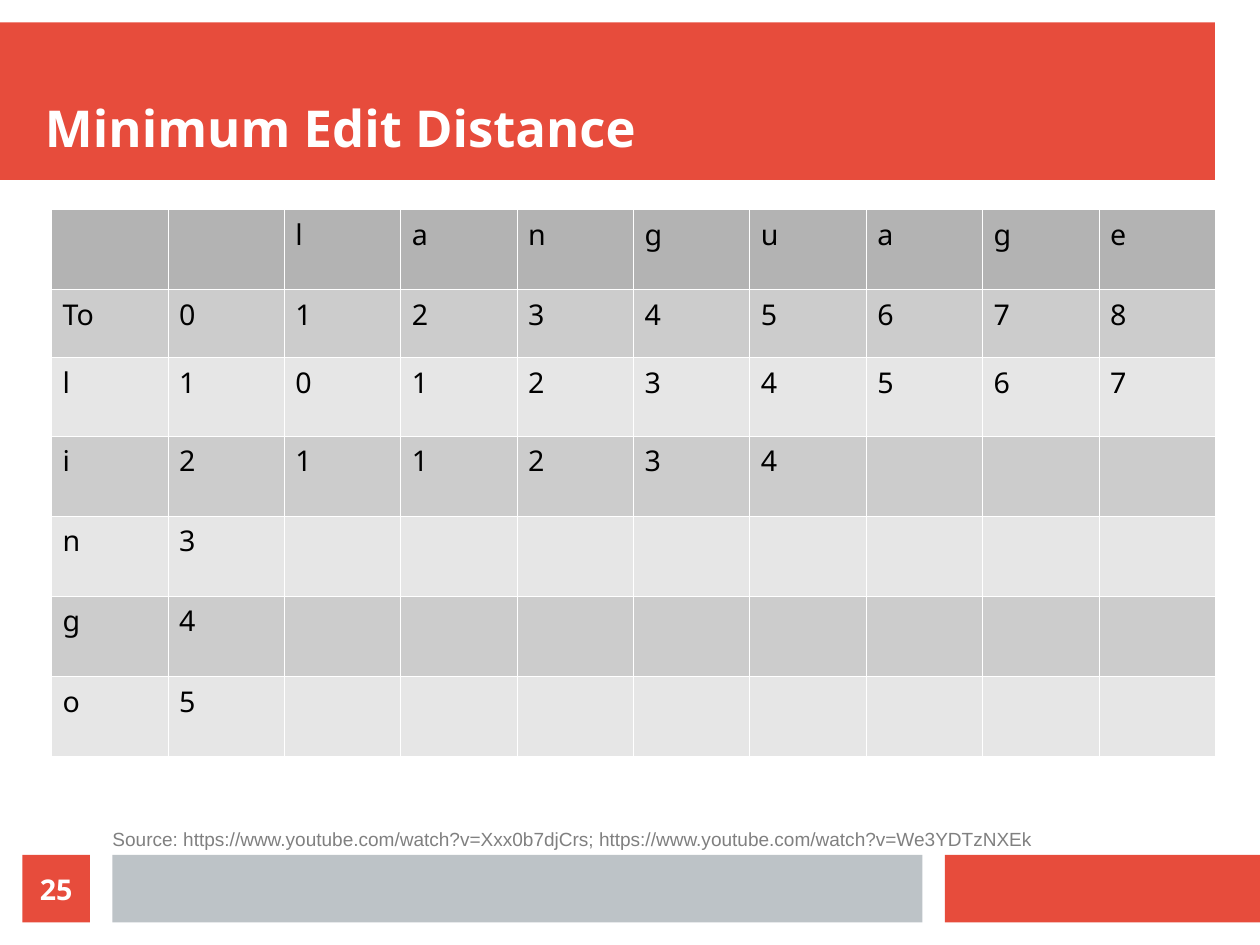
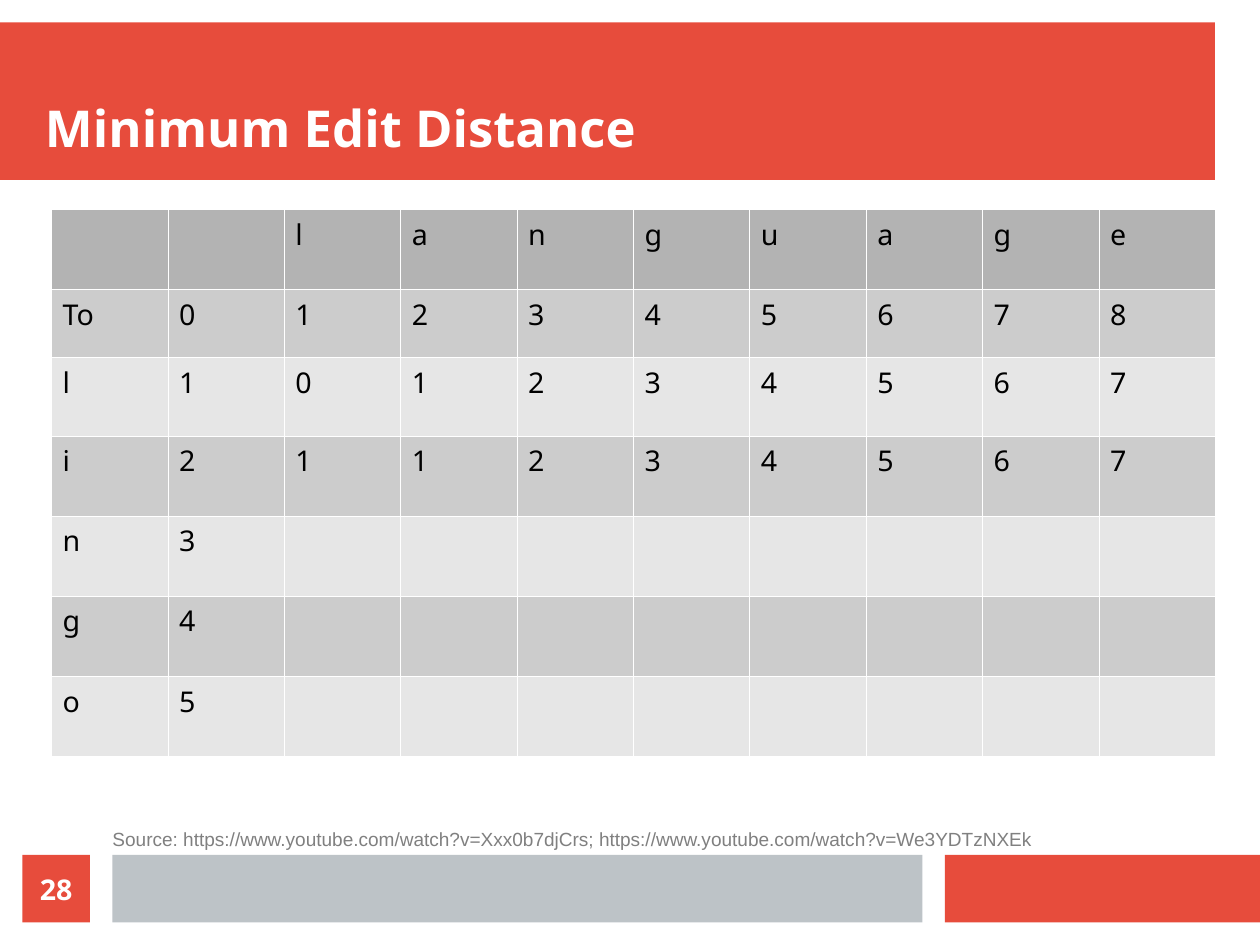
from dataclasses import dataclass

from lxml import etree
from pptx import Presentation
from pptx import util as u
from pptx.dml.color import RGBColor
from pptx.enum import shapes, text
from pptx.oxml.ns import qn

COLS, ROWS = 28, 21  # the slide grid; one unit is one centimetre


@dataclass(frozen=True)
class Theme:
    red: str = "E74C3C"
    band: str = "BDC3C7"
    white: str = "FFFFFF"
    black: str = "000000"
    gray: str = "808080"
    head: str = "B3B3B3"
    rows: tuple = ("CCCCCC", "E6E6E6")
    face: str = "Noto Sans"
    plain: str = "Arial"
    title: int = 32
    body: int = 18
    note: int = 12
    rule: float = 0.06


LOOK = Theme()
BANNER = (0, 0.5, 27, 3.5)
FOOTER = (0, 19, COLS, 1.5)
GRID = (1.14, 4.65, 25.86, 12.14)
HEIGHTS = (1.78, 1.5, 1.75, 1.78, 1.78, 1.78, 1.78)
HEADING = "Minimum Edit Distance"
SOURCE = ("Source: https://www.youtube.com/watch?v=Xxx0b7djCrs; "
          "https://www.youtube.com/watch?v=We3YDTzNXEk")
TARGET = ["", "", *"language"]
STARTS = "To 0 1 2 3 4 5 6 7 8", "l 1 0 1 2 3 4 5 6 7"
ENDS = "n 3", "g 4", "o 5"
PAGES = (("25", "i 2 1 1 2 3 4"), ("28", "i 2 1 1 2 3 4 5 6 7"))


def emu(box):
    return [u.Cm(n) for n in box]


def style(frame, size, color, face=LOOK.face, bold=False,
          align=text.PP_ALIGN.LEFT):
    for para in frame.paragraphs:
        para.alignment = align
        for run in para.runs:
            font = run.font
            font.size, font.name, font.bold = u.Pt(size), face, bold
            font.color.rgb = RGBColor.from_string(color)


def bare(frame, anchor):
    """Remove the insets and wrap the text within its box."""
    frame.margin_left = frame.margin_right = 0
    frame.margin_top = frame.margin_bottom = 0
    frame.word_wrap = True
    frame.auto_size = text.MSO_AUTO_SIZE.NONE
    frame.vertical_anchor = anchor


def block(slide, box, color):
    rect = slide.shapes.add_shape(shapes.MSO_SHAPE.RECTANGLE, *emu(box))
    rect.shadow.inherit = False
    rect.fill.solid()
    rect.fill.fore_color.rgb = RGBColor.from_string(color)
    rect.line.fill.background()
    return rect


def banner(slide, box):
    left, top, wide, high = box
    block(slide, box, LOOK.red)
    title = slide.shapes.title
    title.left, title.top, title.width, title.height = emu(
        (left + 1, top + 0.5, wide - 1, high - 1))
    slide.shapes._spTree.append(title._element)  # in front of the band
    frame = title.text_frame
    frame.text = HEADING
    bare(frame, text.MSO_ANCHOR.BOTTOM)
    style(frame, LOOK.title, LOOK.white, bold=True)


def footer(slide, box, page):
    left, top, wide, high = box
    block(slide, (left + 0.75 * wide, top, wide / 4, high), LOOK.red)
    block(slide, (left + 2.5, top, 18, high), LOOK.band)

    note = slide.shapes.add_textbox(
        *emu((left + 2.5, top - 0.61, 24.9, 0.71))).text_frame
    note.text = SOURCE
    bare(note, text.MSO_ANCHOR.TOP)
    style(note, LOOK.note, LOOK.gray, LOOK.plain)

    badge = block(slide, (left + 0.5, top, high, high), LOOK.red).text_frame
    badge.text = page
    bare(badge, text.MSO_ANCHOR.MIDDLE)
    style(badge, LOOK.body, LOOK.white, bold=True,
          align=text.PP_ALIGN.CENTER)


def border(cell):
    props = cell._tc.get_or_add_tcPr()
    for at, side in enumerate(("a:lnL", "a:lnR", "a:lnT", "a:lnB")):
        line = etree.Element(qn(side), w=str(int(u.Pt(LOOK.rule))))
        fill = etree.SubElement(line, qn("a:solidFill"))
        etree.SubElement(fill, qn("a:srgbClr"), val=LOOK.white)
        props.insert(at, line)


def matrix(slide, box, rows):
    wide = len(TARGET)
    table = slide.shapes.add_table(len(rows), wide, *emu(box)).table
    for col in table.columns:
        col.width = u.Cm(box[2] / wide)
    for r, words in enumerate(rows):
        table.rows[r].height = u.Cm(HEIGHTS[r])
        color = LOOK.rows[(r - 1) % 2] if r else LOOK.head
        for c in range(wide):
            cell = table.cell(r, c)
            cell.fill.solid()
            cell.fill.fore_color.rgb = RGBColor.from_string(color)
            border(cell)
            if c < len(words):
                cell.text_frame.text = words[c]
                style(cell.text_frame, LOOK.body, LOOK.black)


def build(deck, page, step):
    slide = deck.slides.add_slide(deck.slide_layouts[5])
    banner(slide, BANNER)
    lines = (*STARTS, step, *ENDS)
    matrix(slide, GRID, [TARGET, *(line.split() for line in lines)])
    footer(slide, FOOTER, page)


def main():
    deck = Presentation()
    deck.slide_width, deck.slide_height = u.Cm(COLS), u.Cm(ROWS)
    for page, step in PAGES:
        build(deck, page, step)
    deck.save("out.pptx")


if __name__ == "__main__":
    main()
